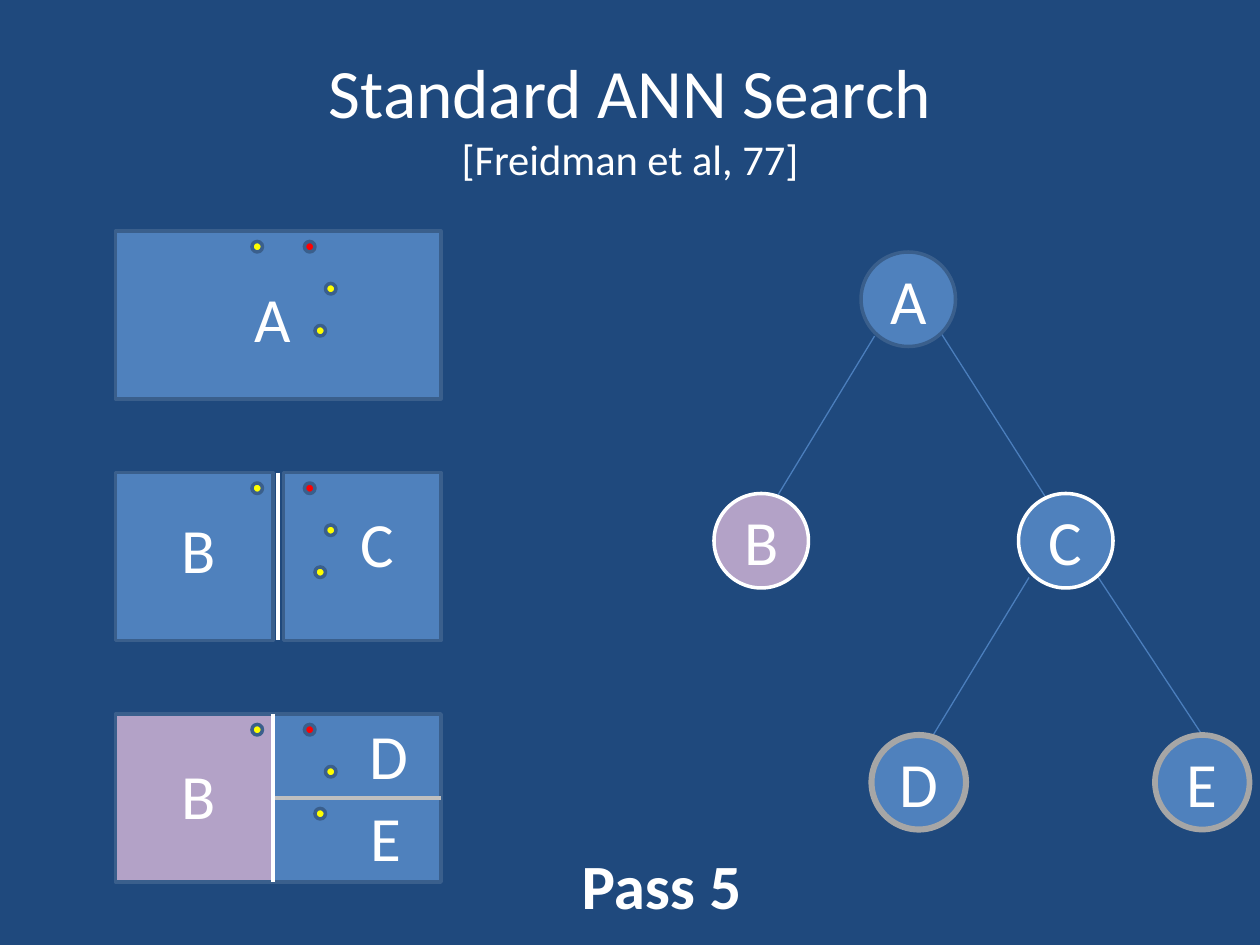
"""Build the Standard ANN Search slide with its partition panels and search tree."""
from dataclasses import dataclass

from lxml import etree
from pptx import Presentation
from pptx import util as u
from pptx.dml.color import RGBColor
from pptx.enum import shapes, text
from pptx.oxml.ns import qn

EMU_PER_PX = 7620
FONT = "Calibri"
LETTER_SIZE = 36
NODE = 90
DOT = 10
LABEL_HEIGHT = 85
COLOURS = {
    "background": "1F497D",
    "cell": "4F81BD",
    "outline": "3A5F8C",
    "pruned": "B3A2C7",
    "edge": "4B7EBC",
    "white": "FFFFFF",
    "leaf": "A6A6A6",
    "split": "BFBFBF",
    "query": "FF0000",
    "point": "FFFF00",
}


@dataclass(frozen=True)
class Cell:
    left: int
    top: int
    width: int
    height: int
    fill: str = "cell"


@dataclass(frozen=True)
class Label:
    words: str
    left: int
    top: int
    width: int


@dataclass(frozen=True)
class Line:
    x1: int
    y1: int
    x2: int
    y2: int
    colour: str = "edge"
    weight: float = 0.75


@dataclass(frozen=True)
class Node:
    letter: str
    left: int
    top: int
    fill: str
    outline: str
    weight: float


@dataclass(frozen=True)
class Dot:
    left: int
    top: int
    fill: str


@dataclass(frozen=True)
class Panel:
    top: int
    cells: tuple[Cell, ...]
    dividers: tuple[Line, ...]
    labels: tuple[Label, ...]
    grouped: bool = False


DOTS = (Dot(290, 10, "query"), Dot(310, 50, "point"),
        Dot(300, 90, "point"), Dot(240, 10, "point"))
PANELS = (
    Panel(220, (Cell(110, 0, 310, 160),), (), (Label("A", 230, 40, 59),)),
    Panel(450, (Cell(110, 0, 150, 160), Cell(270, 0, 150, 160)),
          (Line(265, 0, 265, 160, "white", 2.25),),
          (Label("B", 160, 30, 58), Label("C", 331, 25, 56))),
    Panel(680, (Cell(110, 0, 150, 160, "pruned"), Cell(260, 80, 160, 80),
                Cell(260, 0, 160, 80)),
          (Line(260, 80, 420, 80, "split", 2.25),
           Line(260, 0, 260, 160, "white", 2.25)),
          (Label("B", 160, 35, 58), Label("D", 340, -4, 61),
           Label("E", 340, 75, 54)), grouped=True),
)
EDGES = (Line(833, 320, 740, 473), Line(896, 317, 1000, 480),
         Line(980, 550, 887, 703), Line(1046, 550, 1145, 700))
NODES = (
    Node("A", 820, 240, "cell", "outline", 2),
    Node("B", 680, 470, "pruned", "white", 2),
    Node("C", 970, 470, "cell", "white", 2),
    Node("D", 830, 700, "cell", "leaf", 3.5),
    Node("E", 1100, 700, "cell", "leaf", 3.25),
)


def px(*lengths: int) -> list[u.Emu]:
    """Turn whole px into EMU."""
    return [u.Emu(length * EMU_PER_PX) for length in lengths]


def rgb(name: str) -> RGBColor:
    """Look up a named colour."""
    return RGBColor.from_string(COLOURS[name])


def style_run(run, size: float, bold: bool = False) -> None:
    """Set white text in the slide font."""
    run.font.name = FONT
    run.font.size = u.Pt(size)
    run.font.bold = bold
    run.font.color.rgb = rgb("white")


def write(frame, words: str, bold: bool = False) -> None:
    """Fill a text frame with one centred line."""
    frame.text = words
    frame.paragraphs[0].alignment = text.PP_ALIGN.CENTER
    style_run(frame.paragraphs[0].runs[0], LETTER_SIZE, bold)


def draw_shape(parent, kind, box: tuple[int, ...], fill: str,
               outline: str = "outline", weight: float = 2):
    """Draw a filled and outlined preset shape."""
    shape = parent.add_shape(kind, *px(*box))
    shape.shadow.inherit = False
    shape.fill.solid()
    shape.fill.fore_color.rgb = rgb(fill)
    shape.line.color.rgb = rgb(outline)
    shape.line.width = u.Pt(weight)
    return shape


def draw_line(parent, line: Line, top: int = 0) -> None:
    """Draw a straight line without a shadow."""
    connector = parent.add_connector(
        shapes.MSO_CONNECTOR.STRAIGHT,
        *px(line.x1, top + line.y1, line.x2, top + line.y2))
    connector.line.color.rgb = rgb(line.colour)
    connector.line.width = u.Pt(line.weight)
    etree.SubElement(connector._element.spPr, qn("a:effectLst"))


def draw_label(parent, label: Label, top: int = 0, wrap: bool = False,
               bold: bool = False) -> None:
    """Draw a free-standing line of text."""
    box = parent.add_textbox(*px(label.left, top + label.top, label.width, LABEL_HEIGHT))
    box.text_frame.word_wrap = wrap
    box.text_frame.auto_size = text.MSO_AUTO_SIZE.SHAPE_TO_FIT_TEXT
    write(box.text_frame, label.words, bold)


def draw_panel(slide_shapes, panel: Panel) -> None:
    """Draw one stage of the partition with its points."""
    parent = slide_shapes.add_group_shape().shapes if panel.grouped else slide_shapes
    for cell in panel.cells:
        draw_shape(parent, shapes.MSO_SHAPE.RECTANGLE,
                   (cell.left, panel.top + cell.top, cell.width, cell.height), cell.fill)
    for dot in DOTS:
        draw_shape(parent, shapes.MSO_SHAPE.OVAL,
                   (dot.left, panel.top + dot.top, DOT, DOT), dot.fill)
    for divider in panel.dividers:
        draw_line(parent, divider, panel.top)
    for label in panel.labels:
        draw_label(parent, label, panel.top)


def draw_node(parent, node: Node) -> None:
    """Draw a lettered tree node."""
    circle = draw_shape(parent, shapes.MSO_SHAPE.OVAL, (node.left, node.top, NODE, NODE),
                        node.fill, node.outline, node.weight)
    circle.text_frame.vertical_anchor = text.MSO_ANCHOR.MIDDLE
    write(circle.text_frame, node.letter)


def draw_title(title) -> None:
    """Place and fill the title with its citation."""
    title.left, title.top, title.width, title.height = px(60, 36, 1080, 150)
    frame = title.text_frame
    frame.text = "Standard ANN Search\v[Freidman et al, 77]"
    frame.auto_size = text.MSO_AUTO_SIZE.NONE
    frame.vertical_anchor = text.MSO_ANCHOR.MIDDLE
    frame.paragraphs[0].alignment = text.PP_ALIGN.CENTER
    for run, size in zip(frame.paragraphs[0].runs, (39.6, 24.3)):
        style_run(run, size)


def main() -> None:
    """Assemble and save the slide."""
    deck = Presentation()
    deck.slide_width, deck.slide_height = px(1200, 900)
    slide = deck.slides.add_slide(deck.slide_layouts[5])
    slide.background.fill.solid()
    slide.background.fill.fore_color.rgb = rgb("background")
    draw_title(slide.shapes.title)
    for edge in EDGES:
        draw_line(slide.shapes, edge)
    for node in NODES:
        draw_node(slide.shapes, node)
    for panel in PANELS:
        draw_panel(slide.shapes, panel)
    draw_label(slide.shapes, Label("Pass 5", 480, 800, 300), wrap=True, bold=True)
    deck.save("out.pptx")


if __name__ == "__main__":
    main()
